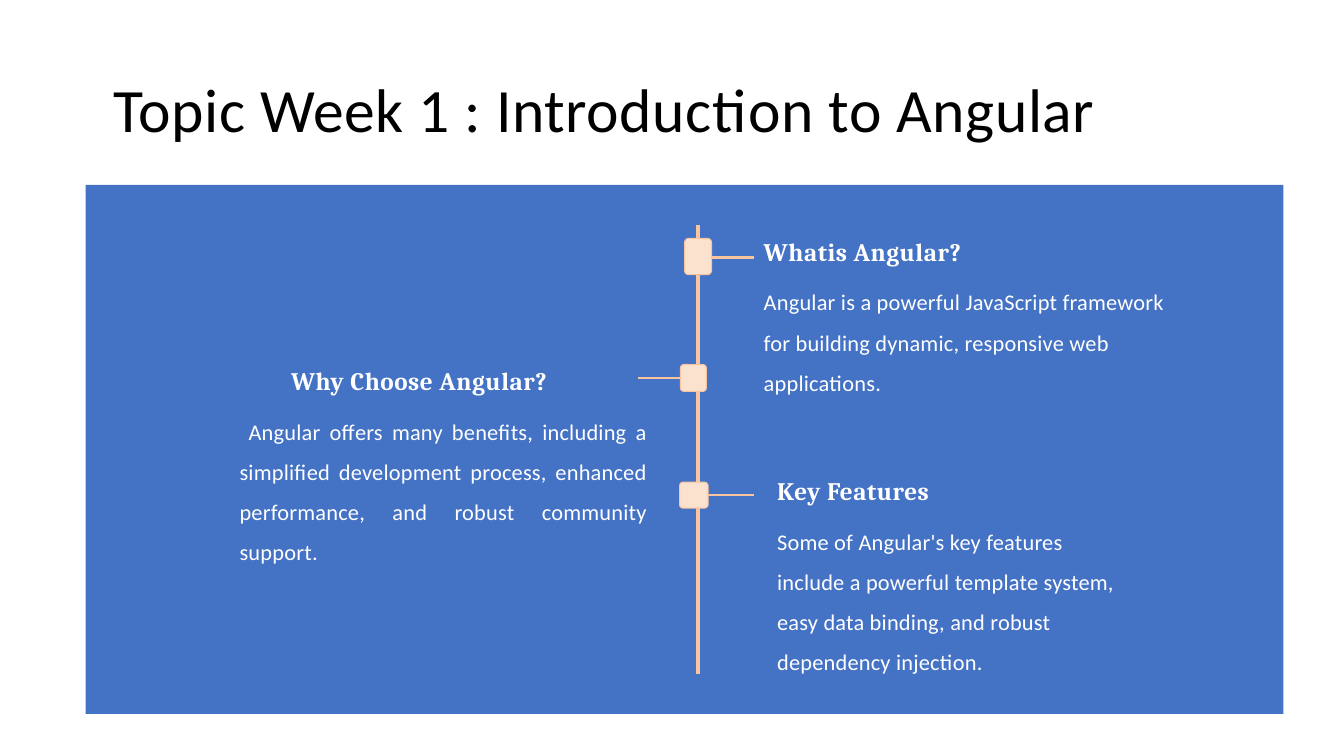
from pptx import Presentation
from pptx.dml.color import RGBColor
from pptx.enum.shapes import MSO_CONNECTOR, MSO_SHAPE
from pptx.enum.text import MSO_ANCHOR, PP_ALIGN
from pptx.oxml.ns import qn
from pptx.util import Inches, Pt
from lxml.etree import SubElement

COLUMNS, ROWS = 160, 90


def color(hex_string):
    """Turn a hex string into a colour."""
    return RGBColor.from_string(hex_string)


class TimelineSlide:
    """Holds the style and the current slide; lengths are grid columns and rows."""

    panel_fill, accent, marker_fill = "4472C4", "F9C49E", "FBE2CF"
    title_style = dict(name="Calibri", size=44, ink="000000", spacing=0.4)
    heading_style = dict(name="Cambria", size=18, ink="FFFFFF", spacing=0.4, bold=True)
    body_style = dict(name="Calibri", size=16, ink="FFFFFF", spacing=0.17)

    def __init__(self, deck):
        """Add a blank slide and measure its grid."""
        self.column = deck.slide_width / COLUMNS
        self.row = deck.slide_height / ROWS
        self.shapes = deck.slides.add_slide(deck.slide_layouts[6]).shapes

    def place(self, left, top, width, height):
        """Convert grid units to slide lengths."""
        return (round(left * self.column), round(top * self.row),
                round(width * self.column), round(height * self.row))

    def block(self, area, fill, line=None, corner=0):
        """Draw a filled rectangle, rounded when a corner share is given."""
        kind = MSO_SHAPE.ROUNDED_RECTANGLE if corner else MSO_SHAPE.RECTANGLE
        shape = self.shapes.add_shape(kind, *self.place(*area))
        shape.shadow.inherit = False
        shape.fill.solid()
        shape.fill.fore_color.rgb = color(fill)
        if corner:
            shape.adjustments[0] = corner
        if line:
            shape.line.color.rgb = color(line)
            shape.line.width = Pt(0.75)
        else:
            shape.line.fill.background()

    def line(self, start_x, start_y, end_x, end_y, weight):
        """Draw a straight accent line without a shadow."""
        ends = self.place(start_x, start_y, end_x, end_y)
        connector = self.shapes.add_connector(MSO_CONNECTOR.STRAIGHT, *ends)
        connector.line.color.rgb = color(self.accent)
        connector.line.width = Pt(weight)
        SubElement(connector._element.spPr, qn("a:effectLst"))

    def text_box(self, area, anchor=MSO_ANCHOR.TOP):
        """Add an empty wrapping text frame without side margins."""
        frame = self.shapes.add_textbox(*self.place(*area)).text_frame
        frame.word_wrap = True
        frame.vertical_anchor = anchor
        frame.margin_left = frame.margin_right = frame.margin_bottom = 0
        frame.margin_top = Inches(0.01)
        return frame

    def set_text(self, para, text, style, before, leading=1.0, left=0.01, first=0,
                 align=PP_ALIGN.LEFT):
        """Fill a paragraph; left and first-line indents are in inches."""
        para.add_run().text = text
        para.alignment = align
        para.space_before, para.line_spacing = Pt(before), leading
        properties = para._p.get_or_add_pPr()
        properties.set("marL", str(Inches(left)))
        properties.set("indent", str(Inches(first)))
        font = para.font
        font.name, font.size = style["name"], Pt(style["size"])
        font.bold = style.get("bold", False)
        font.color.rgb = color(style["ink"])
        font._element.set("spc", str(round(style["spacing"] * 100)))

    def title(self, area, text):
        """Add the slide title."""
        para = self.text_box(area, MSO_ANCHOR.MIDDLE).paragraphs[0]
        self.set_text(para, text, self.title_style, 0.8, 0.9)

    def section(self, area, heading, body, heading_left=0.01, **body_layout):
        """Add a heading with its body text."""
        frame = self.text_box(area)
        self.set_text(frame.paragraphs[0], heading, self.heading_style, 0.9,
                      left=heading_left)
        self.set_text(frame.add_paragraph(), body, self.body_style, 6.1, 1.5,
                      **body_layout)

    def milestone(self, marker, branch, weight):
        """Draw a branch (start, end, row) and the marker on the spine."""
        start, end, row = branch
        self.line(start, row, end, row, weight)
        self.block(marker, self.marker_fill, self.accent, corner=0.14)


deck = Presentation()
deck.slide_width, deck.slide_height = Inches(13.33), Inches(7.5)
slide = TimelineSlide(deck)

slide.block((10.2, 22, 142.6, 63), slide.panel_fill)
slide.title((13.4, 9.2, 141.6, 8.2), "Topic Week 1 : Introduction to Angular")
slide.line(83.1, 26.8, 83.1, 80.3, 2.25)

milestones = [
    ((81.5, 28.4, 3.2, 4.3), (84.7, 89.8, 30.65), 2.25),
    ((81, 43.4, 3.1, 3.2), (76, 81, 45), 1.5),
    ((80.9, 57.4, 3.4, 3.1), (84.3, 89.8, 58.9), 1.5),
]
for milestone in milestones:
    slide.milestone(*milestone)

slide.section((90.8, 28, 48.8, 19), "Whatis Angular?",
              "Angular is a powerful JavaScript framework for building dynamic, "
              "responsive web applications.")
slide.section((26, 43.4, 51.1, 23.8), "Why Choose Angular?",
              "Angular offers many benefits, including a simplified development "
              "process, enhanced performance, and robust community support.",
              heading_left=0.72, left=0.21, first=0.09, align=PP_ALIGN.JUSTIFY)
slide.section((92.4, 56.5, 41.5, 23.9), "Key Features",
              "Some of Angular's key features include a powerful template system, "
              "easy data binding, and robust dependency injection.")

deck.save("out.pptx")
